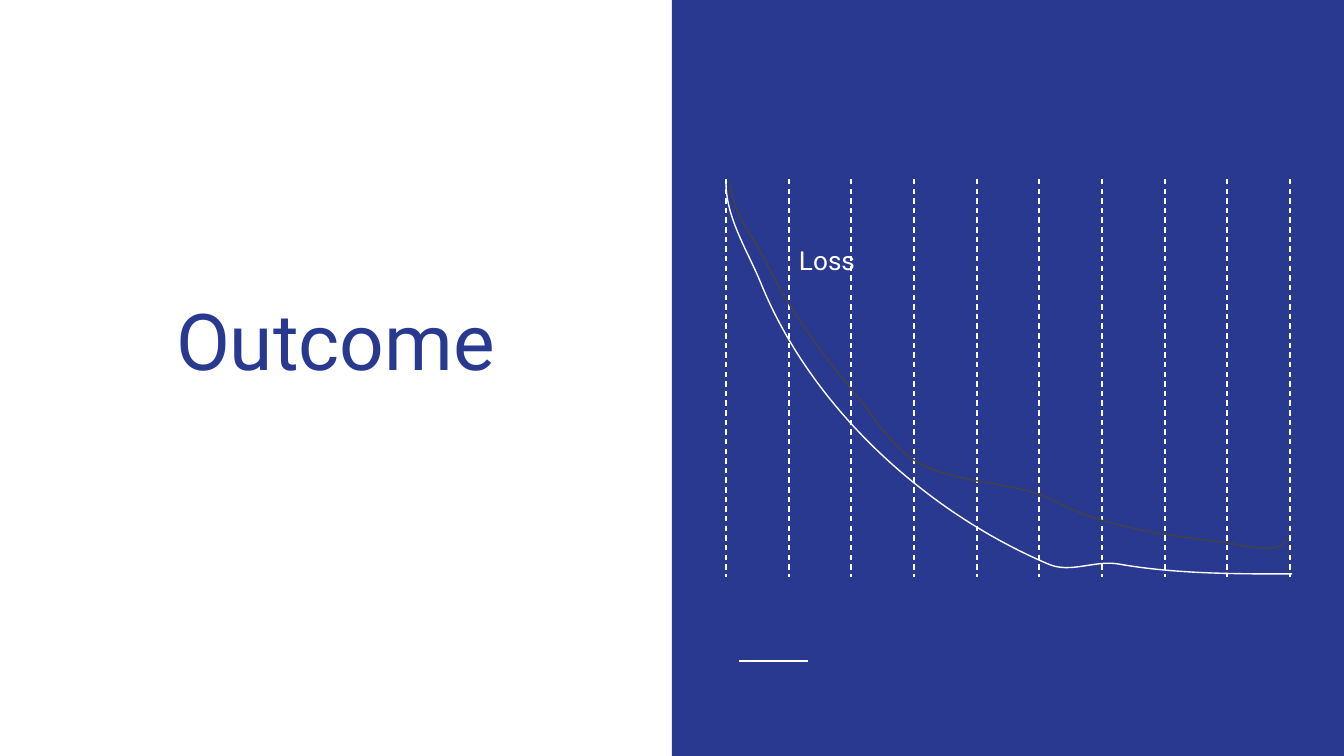
from dataclasses import dataclass

from lxml import etree
from pptx import Presentation
from pptx.dml.color import RGBColor
from pptx.enum.dml import MSO_LINE
from pptx.enum.shapes import MSO_CONNECTOR, MSO_SHAPE
from pptx.enum.text import MSO_ANCHOR, MSO_AUTO_SIZE, PP_ALIGN
from pptx.oxml.ns import qn
from pptx.util import Pt

STRAIGHT = MSO_CONNECTOR.STRAIGHT
RECTANGLE = MSO_SHAPE.RECTANGLE
DASH = MSO_LINE.DASH
TOP, BOTTOM = MSO_ANCHOR.TOP, MSO_ANCHOR.BOTTOM
LEFT, CENTER = PP_ALIGN.LEFT, PP_ALIGN.CENTER

EMU_PER_PX = 914400 / 134.4
PAGE_WIDTH, PAGE_HEIGHT = 1344, 756
TITLE_ONLY = 5

GRID_LEFT, GRID_RIGHT = 726, 1290
GRID_TOP, GRID_BOTTOM = 179, 577
GRID_LINES = 10

# Each curve is a start point followed by Bezier triples: two controls, one end.
UPPER_CURVE = [
    (731, 184),
    (731, 212), (754, 237), (766, 262),
    (789, 310), (823, 355), (857, 396),
    (875, 418), (890, 444), (914, 460),
    (953, 485), (1012, 480), (1055, 501),
    (1107, 530), (1173, 535), (1234, 544),
    (1250, 547), (1285, 554), (1285, 539),
]
LOWER_CURVE = [
    (726, 183),
    (726, 219), (749, 253), (762, 286),
    (813, 409), (926, 512), (1048, 564),
    (1070, 574), (1095, 560), (1118, 564),
    (1175, 574), (1234, 574), (1292, 574),
]


@dataclass(frozen=True)
class Theme:
    font: str = "Roboto"
    blue: RGBColor = RGBColor(0x2A, 0x39, 0x90)
    white: RGBColor = RGBColor(0xFF, 0xFF, 0xFF)
    gray: RGBColor = RGBColor(0x43, 0x43, 0x43)
    title_size: int = 42
    label_size: int = 14
    thin: float = 0.75
    thick: float = 1.5


def px(length):
    return round(length * EMU_PER_PX)


def write_text(box, text, *, font, size, color, align=LEFT, anchor=TOP,
               auto_size=MSO_AUTO_SIZE.NONE):
    frame = box.text_frame
    frame.word_wrap = True
    frame.auto_size = auto_size
    frame.vertical_anchor = anchor
    frame.margin_left = frame.margin_right = px(13)
    frame.margin_top = frame.margin_bottom = px(13)
    para = frame.paragraphs[0]
    para.alignment = align
    span = para.add_run()
    span.text = text
    span.font.name = font
    span.font.size = Pt(size)
    span.font.color.rgb = color


class PageBuilder:
    def __init__(self, page, theme):
        self.page = page
        self.theme = theme

    def title(self, text, left, top, width, height):
        box = self.page.shapes.title
        box.left, box.top = px(left), px(top)
        box.width, box.height = px(width), px(height)
        write_text(box, text, font=self.theme.font, size=self.theme.title_size,
                   color=self.theme.blue, align=CENTER, anchor=BOTTOM)

    def label(self, text, left, top, width, height):
        box = self.page.shapes.add_textbox(px(left), px(top), px(width), px(height))
        write_text(box, text, font=self.theme.font, size=self.theme.label_size,
                   color=self.theme.white, auto_size=MSO_AUTO_SIZE.SHAPE_TO_FIT_TEXT)

    def panel(self, left, top, width, height):
        shape = self.page.shapes.add_shape(
            RECTANGLE, px(left), px(top), px(width), px(height))
        shape.shadow.inherit = False
        shape.fill.solid()
        shape.fill.fore_color.rgb = self.theme.blue
        shape.line.fill.background()

    def line(self, start, end, width, dash=None, group=None):
        shapes = (group or self.page).shapes
        connector = shapes.add_connector(STRAIGHT, *map(px, start + end))
        connector.line.color.rgb = self.theme.white
        connector.line.width = Pt(width)
        if dash:
            connector.line.dash_style = dash
        etree.SubElement(connector._element.spPr, qn("a:effectLst"))

    def grid(self):
        group = self.page.shapes.add_group_shape()
        step = (GRID_RIGHT - GRID_LEFT) / (GRID_LINES - 1)
        for index in range(GRID_LINES):
            x = round(GRID_LEFT + index * step)
            self.line((x, GRID_TOP), (x, GRID_BOTTOM), self.theme.thin, DASH, group)

    def curve(self, points, color):
        """Draw a freeform whose points after the first are Bezier triples."""
        builder = self.page.shapes.build_freeform(*points[0], scale=EMU_PER_PX)
        builder.add_line_segments(points[1:], close=False)
        shape = builder.convert_to_shape()
        shape.shadow.inherit = False
        shape.fill.background()
        shape.line.color.rgb = color
        shape.line.width = Pt(self.theme.thin)

        outline = next(shape._element.iter(qn("a:path")))
        segments = outline.findall(qn("a:lnTo"))
        for first in range(0, len(segments), 3):
            bezier = etree.SubElement(outline, qn("a:cubicBezTo"))
            for segment in segments[first:first + 3]:
                bezier.append(segment[0])
                outline.remove(segment)


def main():
    deck = Presentation()
    deck.slide_width, deck.slide_height = px(PAGE_WIDTH), px(PAGE_HEIGHT)
    theme = Theme()
    builder = PageBuilder(deck.slides.add_slide(deck.slide_layouts[TITLE_ONLY]), theme)

    builder.panel(PAGE_WIDTH // 2, 0, PAGE_WIDTH // 2, PAGE_HEIGHT)
    builder.line((739, 661), (808, 661), theme.thick)
    builder.grid()
    builder.title("Outcome", 39, 169, 593, 230)
    builder.curve(UPPER_CURVE, theme.gray)
    builder.curve(LOWER_CURVE, theme.white)
    builder.label("Loss", 786, 231, 228, 59)
    deck.save("out.pptx")


if __name__ == "__main__":
    main()
